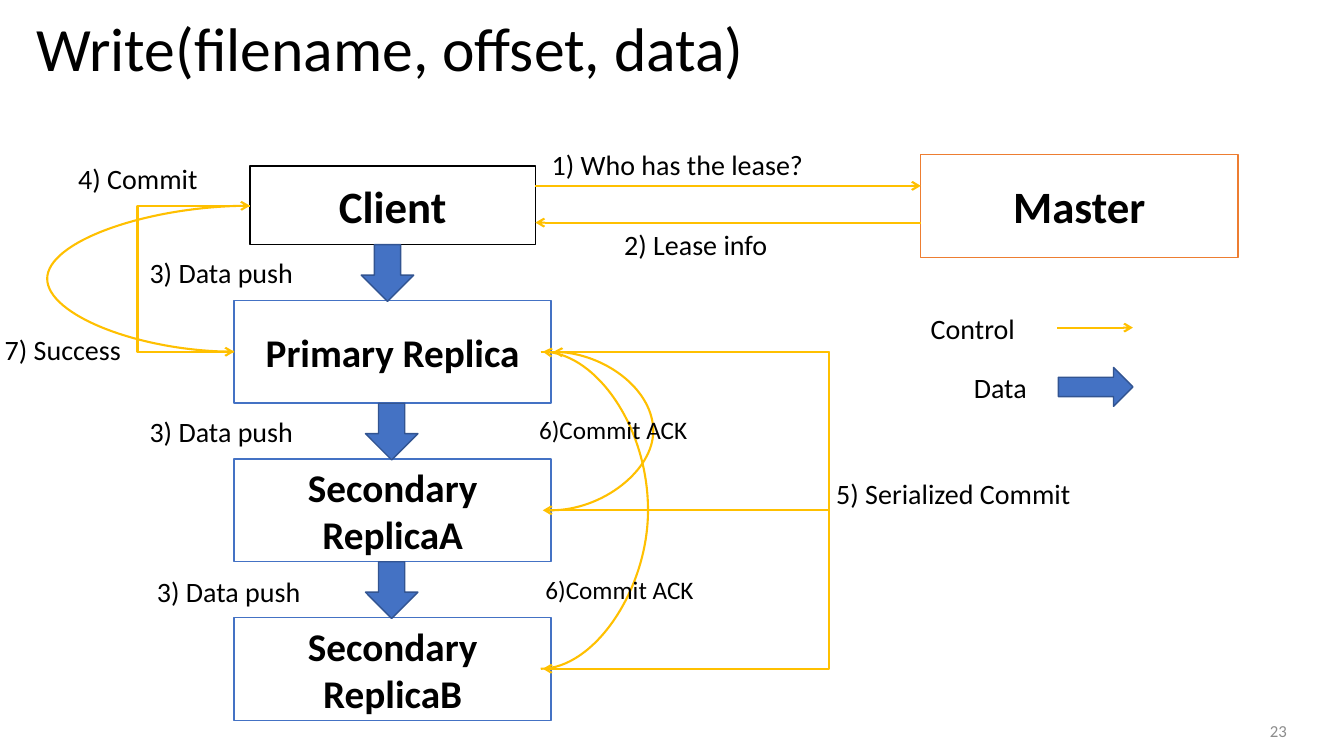
from lxml import etree
from pptx import Presentation
from pptx import util as u
from pptx.dml.color import RGBColor
from pptx.enum import shapes, text
from pptx.oxml.ns import qn

PX = 9525  # EMU per px, 96 px to the inch
COLORS = {"black": "000000", "white": "FFFFFF", "blue": "4472C4", "navy": "325491",
          "orange": "ED7D31", "gold": "FFC000", "gray": "8C8C8C"}

presentation = Presentation()
presentation.slide_width, presentation.slide_height = 1280 * PX, 720 * PX
slide = presentation.slides.add_slide(presentation.slide_layouts[5])


def write(shape, words, size=20, color="black", bold=False, align="LEFT",
          anchor="TOP", wrap=True, spacing=None, grow=False):
    frame = shape.text_frame
    frame.word_wrap = wrap
    frame.auto_size = text.MSO_AUTO_SIZE.SHAPE_TO_FIT_TEXT if grow else text.MSO_AUTO_SIZE.NONE
    frame.vertical_anchor = text.MSO_ANCHOR[anchor]
    paragraph = frame.paragraphs[0]
    paragraph.alignment = text.PP_ALIGN[align]
    if spacing:
        paragraph.line_spacing = spacing
    run = paragraph.add_run()
    run.text = words
    run.font.name, run.font.size, run.font.bold = "Calibri", u.Pt(size), bold
    run.font.color.rgb = RGBColor.from_string(COLORS[color])


def add_block(kind, box, fill, line):
    shape = slide.shapes.add_shape(shapes.MSO_SHAPE[kind], *[n * PX for n in box])
    shape.shadow.inherit = False
    shape.fill.solid()
    shape.fill.fore_color.rgb = RGBColor.from_string(COLORS[fill])
    shape.line.color.rgb = RGBColor.from_string(COLORS[line])
    shape.line.width = u.Pt(1)
    return shape


# Title and slide number
title = slide.shapes.title
title.left, title.top, title.width, title.height = [n * PX for n in (25, -11, 1152, 120)]
write(title, "Write(filename, offset, data)", size=44, anchor="MIDDLE", spacing=0.9)
number = slide.shapes.add_textbox(*[n * PX for n in (936, 677, 299, 38)])
write(number, "23", size=12, color="gray", align="RIGHT", anchor="MIDDLE")

# Machines
REPLICA_TOP, REPLICA_STEP = 286, 151
machines = [("Client", (238, 158, 272, 75), "black", 32),
            ("Master", (877, 147, 302, 98), "orange", 32)]
for index, name in enumerate(["Primary Replica", "Secondary ReplicaA", "Secondary ReplicaB"]):
    machines.append((name, (223, REPLICA_TOP + index * REPLICA_STEP, 302, 98), "blue", 28))
for name, box, line, size in machines:
    machine = add_block("RECTANGLE", box, "white", line)
    write(machine, name, size=size, bold=True, align="CENTER", anchor="MIDDLE")

# Data arrows, the last one in the legend
for left, top, width, height, turn in [(344, 233, 50, 54, 0), (348, 384, 50, 54, 0),
                                       (348, 535, 50, 54, 0), (1025, 333, 37, 71, 270)]:
    arrow = add_block("DOWN_ARROW", (left, top, width, height), "blue", "navy")
    arrow.rotation = turn

# Control arrows: kind, start, end, x of the far side
CLIENT_Y = 196
PRIMARY_Y, SECONDARY_A_Y, SECONDARY_B_Y = [335 + i * REPLICA_STEP for i in range(3)]
controls = [
    ("STRAIGHT", (510, 177), (877, 177), None),
    ("STRAIGHT", (877, 212), (510, 212), None),
    ("STRAIGHT", (1007, 312), (1079, 312), None),
    ("ELBOW", (238, CLIENT_Y), (223, PRIMARY_Y), 131),
    ("CURVE", (223, PRIMARY_Y), (238, CLIENT_Y), 45),
    ("CURVE", (515, SECONDARY_B_Y), (517, PRIMARY_Y), 617),
    ("CURVE", (525, SECONDARY_A_Y), (527, PRIMARY_Y), 622),
    ("ELBOW", (515, PRIMARY_Y), (517, SECONDARY_B_Y), 789),
    ("ELBOW", (515, PRIMARY_Y), (517, SECONDARY_A_Y), 789),
]
for kind, start, end, far_x in controls:
    connector = slide.shapes.add_connector(shapes.MSO_CONNECTOR[kind],
                                           *[n * PX for n in start + end])
    connector.line.color.rgb = RGBColor.from_string(COLORS["gold"])
    connector.line.width = u.Pt(1.5)
    properties = connector._element.spPr
    etree.SubElement(properties.find(qn("a:ln")), qn("a:tailEnd"), type="arrow")
    etree.SubElement(properties, qn("a:effectLst"))
    if far_x is not None:
        bend = round((far_x - start[0]) / (end[0] - start[0]) * 100000)
        guides = properties.find(qn("a:prstGeom")).get_or_add_avLst()
        etree.SubElement(guides, qn("a:gd"), name="adj1", fmla=f"val {bend}")

# Labels: words, left, top, width, size
labels = [
    ("1) Who has the lease?", 516, 136, 261, 20),
    ("2) Lease info", 585, 212, 157, 20),
    ("3) Data push", 133, 239, 157, 20),
    ("3) Data push", 133, 390, 157, 20),
    ("3) Data push", 140, 542, 157, 20),
    ("4) Commit", 65, 149, 134, 20),
    ("5) Serialized Commit", 787, 449, 345, 20),
    ("6)Commit ACK", 504, 390, 162, 18),
    ("6)Commit ACK", 510, 542, 260, 18),
    ("7) Success", -5, 312, 132, 20),
    ("Control", 877, 292, 100, 20),
    ("Data", 918, 348, 70, 20),
]
for words, left, top, width, size in labels:
    label = slide.shapes.add_textbox(*[n * PX for n in (left, top, width, size * 2 + 2)])
    write(label, words, size=size, grow=True)

presentation.save("out.pptx")
